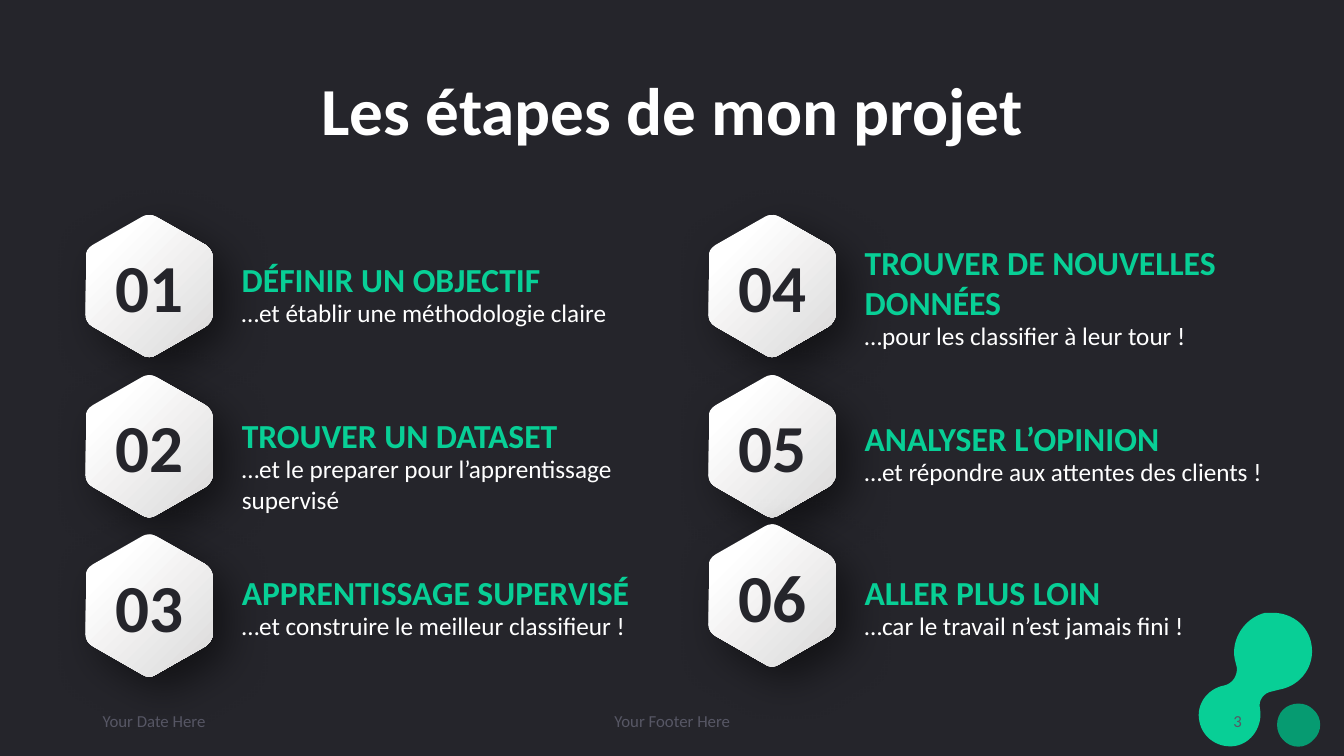
"""Build a dark slide listing six numbered project steps beside hexagons."""
import dataclasses
import typing

import lxml.etree
import pptx
import pptx.dml.color
import pptx.enum.text
import pptx.oxml.ns
import pptx.util

EMU_PER_PX = 9144
FONT = "Calibri"
COLOURS = {
    "background": "25252B",
    "white": "FFFFFF",
    "silver": "DAD9D9",
    "green": "08CF96",
    "dark_green": "069B71",
    "footer": "575765",
    "shadow": "000000",
}
ALIGN = pptx.enum.text.PP_ALIGN
ANCHOR = pptx.enum.text.MSO_ANCHOR
LEFT_COLUMN, RIGHT_COLUMN = 85, 703
TEXT_OFFSET = 145


class Outline(typing.NamedTuple):
    left: int
    top: int
    width: int
    height: int
    start: tuple[int, int]
    steps: list[tuple[int, ...]]


@dataclasses.dataclass(frozen=True)
class Step:
    number: str
    left: int
    top: int
    heading: str
    heading_top: int
    heading_width: int
    caption: str
    caption_top: int
    caption_width: int
    heading_height: int = 61
    caption_height: int = 30


@dataclasses.dataclass(frozen=True)
class Footer:
    text: str
    left: int
    width: int
    align: ALIGN


HEXAGON = Outline(0, 0, 126, 141, (63, 0), [
    (65, 0, 68, 1, 70, 2), (119, 30),
    (123, 33, 126, 37, 126, 42), (126, 99),
    (126, 104, 123, 108, 119, 111), (70, 139),
    (66, 142, 60, 142, 56, 139), (7, 111),
    (2, 108, 0, 104, 0, 99), (0, 42),
    (0, 37, 2, 33, 7, 30), (56, 2),
    (58, 1, 60, 0, 63, 0),
])
BLOB = Outline(1186, 608, 119, 136, (1301, 639), [
    (1305, 660, 1291, 680, 1270, 684), (1262, 686),
    (1254, 687, 1248, 695, 1250, 703),
    (1253, 720, 1242, 737, 1226, 740),
    (1209, 743, 1193, 732, 1190, 716),
    (1186, 699, 1198, 683, 1215, 680),
    (1223, 678, 1228, 670, 1227, 662), (1225, 654),
    (1221, 634, 1235, 613, 1255, 608),
    (1258, 608, 1261, 608, 1263, 608),
    (1282, 608, 1298, 621, 1301, 639),
])
DOT = Outline(1265, 698, 47, 45, (1303, 704), [
    (1312, 712, 1312, 726, 1303, 734),
    (1295, 743, 1281, 743, 1273, 734),
    (1265, 726, 1265, 712, 1273, 704),
    (1277, 700, 1283, 698, 1288, 698),
    (1294, 698, 1299, 700, 1303, 704),
])
STEPS = [
    Step("01", LEFT_COLUMN, 213, "DÉFINIR UN OBJECTIF", 236, 363,
         "…et établir une méthodologie claire", 295, 397),
    Step("02", LEFT_COLUMN, 372, "TROUVER UN DATASET", 391, 429,
         "…et le preparer pour l’apprentissage supervisé", 450, 429, caption_height=61),
    Step("03", LEFT_COLUMN, 530, "APPRENTISSAGE SUPERVISÉ", 510, 429,
         "…et construire le meilleur classifieur !", 606, 429, heading_height=97),
    Step("04", RIGHT_COLUMN, 213, "TROUVER DE NOUVELLES DONNÉES", 219, 373,
         "…pour les classifier à leur tour !", 318, 363, heading_height=101),
    Step("05", RIGHT_COLUMN, 372, "ANALYSER L’OPINION", 394, 363,
         "…et répondre aux attentes des clients !", 453, 417),
    Step("06", RIGHT_COLUMN, 520, "ALLER PLUS LOIN", 546, 363,
         "…car le travail n’est jamais fini !", 605, 363),
]
FOOTERS = [
    Footer("Your Date Here", 92, 300, ALIGN.LEFT),
    Footer("Your Footer Here", 442, 450, ALIGN.CENTER),
    Footer("3", 942, 300, ALIGN.RIGHT),
]


def px(length: int) -> int:
    return length * EMU_PER_PX


def rgb(name: str) -> pptx.dml.color.RGBColor:
    return pptx.dml.color.RGBColor.from_string(COLOURS[name])


def write_text(shape, text: str, *, size: int, colour: str, bold: bool = False,
               align=ALIGN.LEFT, anchor=ANCHOR.MIDDLE,
               insets=(10, 5, 10, 5), spacing: float | None = None) -> None:
    frame = shape.text_frame
    frame.word_wrap = True
    frame.vertical_anchor = anchor
    frame.margin_left, frame.margin_top, frame.margin_right, frame.margin_bottom = map(px, insets)
    para = frame.paragraphs[0]
    para.alignment = align
    para.line_spacing = spacing
    span = para.add_run()
    span.text = text
    span.font.name = FONT
    span.font.size = pptx.util.Pt(size)
    span.font.bold = bold
    span.font.color.rgb = rgb(colour)


def add_box(parent, left: int, top: int, width: int, height: int):
    return parent.shapes.add_textbox(px(left), px(top), px(width), px(height))


def add_outline(parent, outline: Outline, left: int = 0, top: int = 0):
    """Frame the box first, then draw its lines and curves inside it."""
    name = pptx.oxml.ns.qn
    x, y = outline.left + left, outline.top + top
    right, bottom = x + outline.width, y + outline.height
    builder = parent.shapes.build_freeform(x, y, scale=EMU_PER_PX)
    builder.add_line_segments([(right, y), (right, bottom), (x, bottom)], close=True)
    shape = builder.convert_to_shape()
    shape.line.fill.background()
    shape.shadow.inherit = False
    track = next(shape.element.iter(name("a:path")))
    for child in list(track):
        track.remove(child)
    tags = {2: "a:lnTo", 6: "a:cubicBezTo"}
    moves = [("a:moveTo", outline.start)] + [(tags[len(step)], step) for step in outline.steps]
    for tag, values in moves:
        move = lxml.etree.SubElement(track, name(tag))
        for across, down in zip(values[::2], values[1::2]):
            lxml.etree.SubElement(move, name("a:pt"), x=str(across - outline.left),
                                  y=str(down - outline.top))
    lxml.etree.SubElement(track, name("a:close"))
    return shape


def add_soft_shadow(shape) -> None:
    name = pptx.oxml.ns.qn
    effects = shape.element.spPr.find(name("a:effectLst"))
    shadow = lxml.etree.SubElement(
        effects, name("a:outerShdw"), blurRad=str(pptx.util.Pt(30)),
        dist=str(pptx.util.Pt(14)), dir="2700000", algn="tl", rotWithShape="0")
    colour = lxml.etree.SubElement(shadow, name("a:srgbClr"), val=COLOURS["shadow"])
    lxml.etree.SubElement(colour, name("a:alpha"), val="50000")


def add_step(page, step: Step) -> None:
    hexagon = add_outline(page, HEXAGON, step.left, step.top)
    hexagon.fill.gradient()
    hexagon.fill.gradient_angle = 315
    for stop, position, colour in zip(hexagon.fill.gradient_stops, (0.2, 1.0), ("white", "silver")):
        stop.position = position
        stop.color.rgb = rgb(colour)
    add_soft_shadow(hexagon)
    write_text(hexagon, step.number, size=48, colour="background", bold=True,
               align=ALIGN.CENTER, insets=(6, 3, 6, 3))
    label = page.shapes.add_group_shape()
    left = step.left + TEXT_OFFSET
    heading = add_box(label, left, step.heading_top, step.heading_width, step.heading_height)
    write_text(heading, step.heading, size=24, colour="green", bold=True,
               anchor=ANCHOR.BOTTOM, insets=(10, 20, 10, 0))
    caption = add_box(label, left, step.caption_top, step.caption_width, step.caption_height)
    write_text(caption, step.caption, size=18, colour="white",
               anchor=ANCHOR.TOP, insets=(10, 0, 10, 0))


def main() -> None:
    deck = pptx.Presentation()
    deck.slide_width, deck.slide_height = pptx.util.Pt(960), px(750)
    page = deck.slides.add_slide(deck.slide_layouts[6])
    page.background.fill.solid()
    page.background.fill.fore_color.rgb = rgb("background")
    drops = page.shapes.add_group_shape()
    for outline, colour in ((BLOB, "green"), (DOT, "dark_green")):
        drop = add_outline(drops, outline)
        drop.fill.solid()
        drop.fill.fore_color.rgb = rgb(colour)
    write_text(add_box(page, 92, 40, 1150, 145), "Les étapes de mon projet",
               size=48, colour="white", bold=True, align=ALIGN.CENTER, spacing=0.9)
    for footer in FOOTERS:
        write_text(add_box(page, footer.left, 695, footer.width, 40), footer.text,
                   size=12, colour="footer", align=footer.align)
    for step in STEPS:
        add_step(page, step)
    deck.save("out.pptx")


if __name__ == "__main__":
    main()
